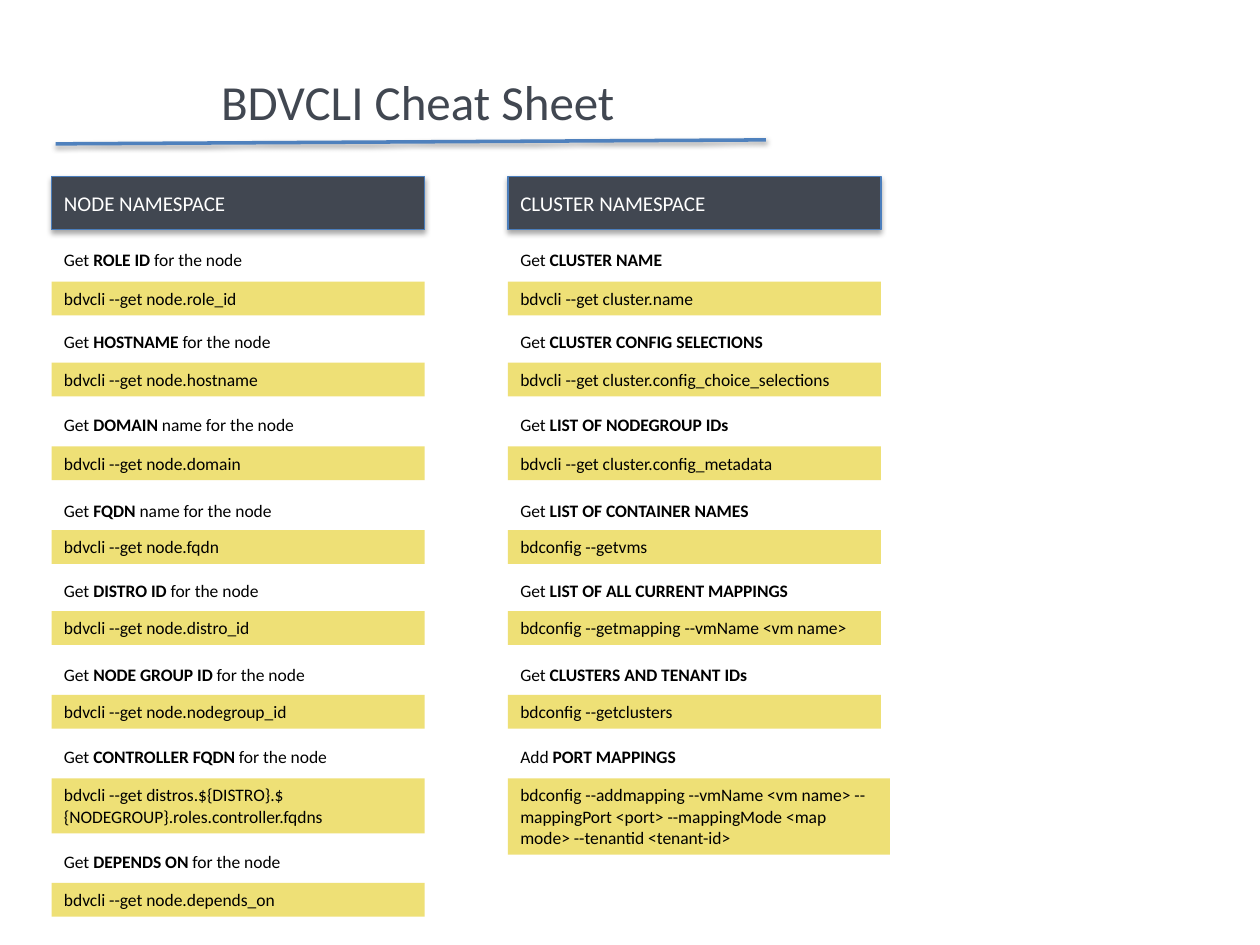
import pptx
import pptx.dml.color
import pptx.enum.shapes
import pptx.enum.text
import pptx.oxml.ns
import pptx.util
from lxml import etree

Cm = pptx.util.Cm
Pt = pptx.util.Pt
RGBColor = pptx.dml.color.RGBColor
MSO_ANCHOR = pptx.enum.text.MSO_ANCHOR
PP_ALIGN = pptx.enum.text.PP_ALIGN
qn = pptx.oxml.ns.qn

SLATE = RGBColor(0x41, 0x47, 0x51)
YELLOW = RGBColor(0xEA, 0xD7, 0x4D)
BLUE = RGBColor(0x4F, 0x81, 0xBD)
BORDER = RGBColor(0x4B, 0x7E, 0xBC)
WHITE = RGBColor(0xFF, 0xFF, 0xFF)
BLACK = RGBColor(0, 0, 0)

COLUMN_WIDTH = 7.52
LABEL_HEIGHT = 0.68
COMMAND_HEIGHTS = {1: 0.68, 2: 1.11, 3: 1.54}
LABEL_TOPS = (4.9, 6.55, 8.23, 9.96, 11.57, 13.26, 14.91, 17.04)
COMMAND_TOPS = (5.68, 7.31, 9.0, 10.69, 12.32, 14.01, 15.69, 17.8)

NODE_ROWS = [
    (("Get ", "ROLE ID ", "for the node"), 4.14, "bdvcli --get node.role_id", 1),
    (("Get ", "HOSTNAME", " for the node"), 4.7, "bdvcli --get node.hostname", 1),
    (("Get ", "DOMAIN", " name for the node"), 5.18, "bdvcli --get node.domain", 1),
    (("Get ", "FQDN", " name for the node"), 4.75, "bdvcli --get node.fqdn", 1),
    (("Get ", "DISTRO ID ", "for the node"), 4.47, "bdvcli --get node.distro_id", 1),
    (("Get ", "NODE GROUP ID ", "for the node"), 5.38, "bdvcli --get node.nodegroup_id", 1),
    (("Get ", "CONTROLLER FQDN ", "for the node"), 5.87,
     "bdvcli --get distros.${DISTRO}.${NODEGROUP}.roles.controller.fqdns", 2),
    (("Get ", "DEPENDS ON", " for the node"), 4.9, "bdvcli --get node.depends_on", 1),
]
CLUSTER_ROWS = [
    (("Get ", "CLUSTER NAME"), 3.43, "bdvcli --get cluster.name", 1),
    (("Get ", "CLUSTER CONFIG SELECTIONS"), 5.49, "bdvcli --get cluster.config_choice_selections", 1),
    (("Get ", "LIST OF NODEGROUP IDs"), 4.78, "bdvcli --get cluster.config_metadata", 1),
    (("Get ", "LIST OF CONTAINER NAMES"), 5.21, "bdconfig --getvms", 1),
    (("Get ", "LIST OF ALL CURRENT MAPPINGS"), 5.99, "bdconfig --getmapping --vmName <vm name>", 1),
    (("Get ", "CLUSTERS AND TENANT IDs"), 5.16, "bdconfig --getclusters", 1),
    (("Add ", "PORT MAPPINGS"), 3.68,
     "bdconfig --addmapping --vmName <vm name> --mappingPort <port> "
     "--mappingMode <map mode> --tenantid <tenant-id>", 3),
]
COLUMNS = [(1.04, "NODE NAMESPACE", NODE_ROWS), (10.24, "CLUSTER NAMESPACE", CLUSTER_ROWS)]


class CheatSheet:
    """Holds the style and the current slide of the cheat sheet."""

    font = "Calibri"

    def __init__(self, slide):
        self.shapes = slide.shapes

    def set_text(self, sp, parts, size, color, align=PP_ALIGN.LEFT, anchor=MSO_ANCHOR.TOP, wrap=True):
        tf = sp.text_frame
        tf.word_wrap = wrap
        tf.vertical_anchor = anchor
        p = tf.paragraphs[0]
        p.alignment = align
        p.font.name = self.font
        p.font.size = Pt(size)
        p.font.color.rgb = color
        for i, part in enumerate(parts):
            r = p.add_run()
            r.text = part
            if i == 1:
                r.font.bold = True

    def shadow(self, sp, alpha, distance):
        props = sp._element.spPr
        effects = props.find(qn("a:effectLst"))
        if effects is None:
            effects = etree.SubElement(props, qn("a:effectLst"))
        outer = etree.SubElement(effects, qn("a:outerShdw"), blurRad=str(Pt(3.1)),
                                 dist=str(Pt(distance)), dir="5400000", rotWithShape="0")
        color = etree.SubElement(outer, qn("a:srgbClr"), val=str(BLACK))
        etree.SubElement(color, qn("a:alpha"), val=str(alpha * 1000))

    def rectangle(self, left, top, width, height, color):
        sp = self.shapes.add_shape(pptx.enum.shapes.MSO_SHAPE.RECTANGLE,
                                   Cm(left), Cm(top), Cm(width), Cm(height))
        sp.shadow.inherit = False
        sp.fill.solid()
        sp.fill.fore_color.rgb = color
        sp.line.fill.background()
        return sp

    def title(self, text):
        sp = self.shapes.add_textbox(Cm(1.04), Cm(0), Cm(14.76), Cm(4.09))
        self.set_text(sp, [text], 28, SLATE, PP_ALIGN.CENTER, MSO_ANCHOR.MIDDLE)

    def rule(self, x1, y1, x2, y2):
        line = self.shapes.add_connector(pptx.enum.shapes.MSO_CONNECTOR.STRAIGHT,
                                         Cm(x1), Cm(y1), Cm(x2), Cm(y2))
        line.line.color.rgb = BLUE
        line.line.width = Pt(2)
        self.shadow(line, 38, 1.6)

    def header(self, left, text):
        sp = self.rectangle(left, 3.56, COLUMN_WIDTH, 1.07, SLATE)
        sp.line.color.rgb = BORDER
        sp.line.width = Pt(0.75)
        self.shadow(sp, 35, 1.8)
        self.set_text(sp, [text], 12, WHITE, anchor=MSO_ANCHOR.MIDDLE)

    def label(self, left, top, width, parts):
        sp = self.shapes.add_textbox(Cm(left), Cm(top), Cm(width), Cm(LABEL_HEIGHT))
        self.set_text(sp, parts, 10, BLACK, wrap=False)

    def command(self, left, top, text, lines):
        width = 7.7 if lines == 3 else COLUMN_WIDTH
        sp = self.rectangle(left, top, width, COMMAND_HEIGHTS[lines], YELLOW)
        color = sp._element.spPr.find(qn("a:solidFill"))[0]
        etree.SubElement(color, qn("a:alpha"), val="77000")
        self.set_text(sp, [text], 10, BLACK)


def main():
    prs = pptx.Presentation()
    prs.slide_width, prs.slide_height = Cm(25.4), Cm(19.05)
    sheet = CheatSheet(prs.slides.add_slide(prs.slide_layouts[6]))
    sheet.title("BDVCLI Cheat Sheet")
    sheet.rule(1.12, 2.9, 15.44, 2.82)
    for left, heading, rows in COLUMNS:
        sheet.header(left, heading)
        for label_top, command_top, (parts, width, command, lines) in zip(LABEL_TOPS, COMMAND_TOPS, rows):
            sheet.label(left, label_top, width, parts)
            sheet.command(left, command_top, command, lines)
    prs.save("out.pptx")


if __name__ == "__main__":
    main()
